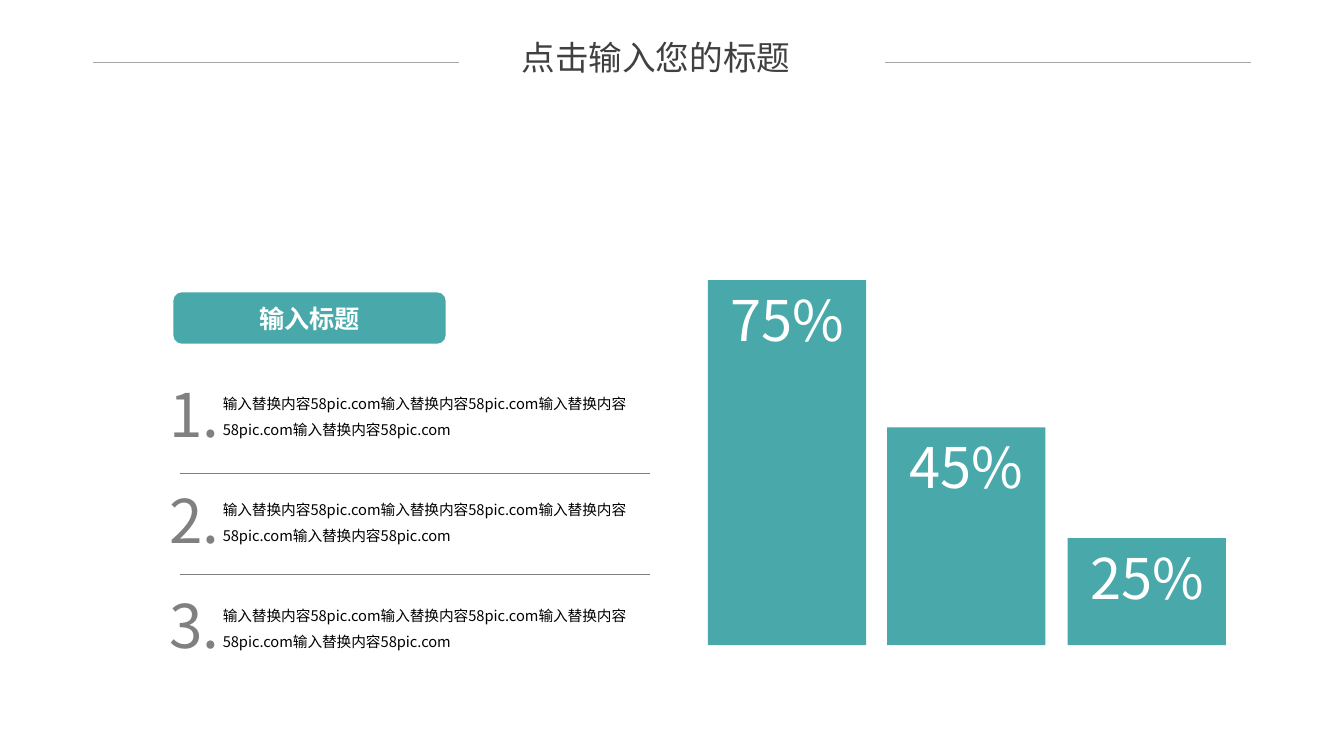
from lxml.etree import SubElement
from pptx import Presentation
from pptx.dml.color import RGBColor
from pptx.enum.shapes import MSO_CONNECTOR, MSO_SHAPE
from pptx.enum.text import MSO_ANCHOR, MSO_AUTO_SIZE, PP_ALIGN
from pptx.oxml.ns import qn
from pptx.util import Pt

PX = 9144  # 100 px to the inch
FONT = "Noto Sans CJK JP"
HUES = {"teal": "48A8AA", "white": "FFFFFF", "dark": "404040",
        "gray": "808080", "rule": "A6A6A6", "black": "000000"}
BODY = "输入替换内容58pic.com" * 4


def write(shape, text, size, hue, bold=False, align=PP_ALIGN.LEFT,
          anchor=MSO_ANCHOR.TOP, pad=(10, 5), space=1.0):
    frame = shape.text_frame
    frame.word_wrap = True
    frame.auto_size = MSO_AUTO_SIZE.NONE
    frame.vertical_anchor = anchor
    frame.margin_left = frame.margin_right = pad[0] * PX
    frame.margin_top = frame.margin_bottom = pad[1] * PX
    para = frame.paragraphs[0]
    para.alignment = align
    para.line_spacing = space
    run = para.add_run()
    run.text = text
    run.font.size = Pt(size)
    run.font.bold = bold
    run.font.color.rgb = RGBColor.from_string(HUES[hue])
    run.font.name = FONT
    SubElement(run.font._element, qn("a:ea")).set("typeface", FONT)


def block(kind, *box):
    shape = slide.shapes.add_shape(kind, *[n * PX for n in box])
    shape.shadow.inherit = False
    shape.fill.solid()
    shape.fill.fore_color.rgb = RGBColor.from_string(HUES["teal"])
    shape.line.fill.background()
    return shape


deck = Presentation()
deck.slide_width, deck.slide_height = 1333 * PX, 750 * PX
slide = deck.slides.add_slide(deck.slide_layouts[5])

# Title
title = slide.shapes.title
title.left, title.top, title.width, title.height = [
    n * PX for n in (446, 37, 409, 40)]
write(title, "点击输入您的标题", 24, "dark", align=PP_ALIGN.CENTER,
      anchor=MSO_ANCHOR.MIDDLE, pad=(0, 0))

# Rules beside the title and between the items
for left, right, top, hue in [(92, 455, 62, "rule"), (878, 1241, 62, "rule"),
                              (179, 645, 470, "gray"), (179, 645, 570, "gray")]:
    line = slide.shapes.add_connector(
        MSO_CONNECTOR.STRAIGHT, left * PX, top * PX, right * PX, top * PX)
    line.line.color.rgb = RGBColor.from_string(HUES[hue])
    line.line.width = Pt(0.5)
    SubElement(line._element.spPr, qn("a:effectLst"))

# Bars, standing on one base
BASE = 640
for left, high, label in [(702, 362, "75%"), (880, 216, "45%"),
                          (1059, 106, "25%")]:
    bar = block(MSO_SHAPE.RECTANGLE, left, BASE - high, 157, high)
    write(bar, label, 40, "white", align=PP_ALIGN.CENTER)

# Heading of the list
head = block(MSO_SHAPE.ROUNDED_RECTANGLE, 172, 290, 270, 51)
write(head, "输入标题", 18, "white", bold=True, align=PP_ALIGN.CENTER,
      anchor=MSO_ANCHOR.MIDDLE)

# Numbered items
for i in range(3):
    top = 371 + 105 * i
    num = slide.shapes.add_textbox(163 * PX, top * PX, 61 * PX, 78 * PX)
    write(num, f"{i + 1}.", 43, "gray", pad=(5, 3))
    note = slide.shapes.add_textbox(216 * PX, (top + 9) * PX, 429 * PX, 55 * PX)
    write(note, BODY, 10.5, "black", pad=(5, 3), space=1.5)

deck.save("out.pptx")
